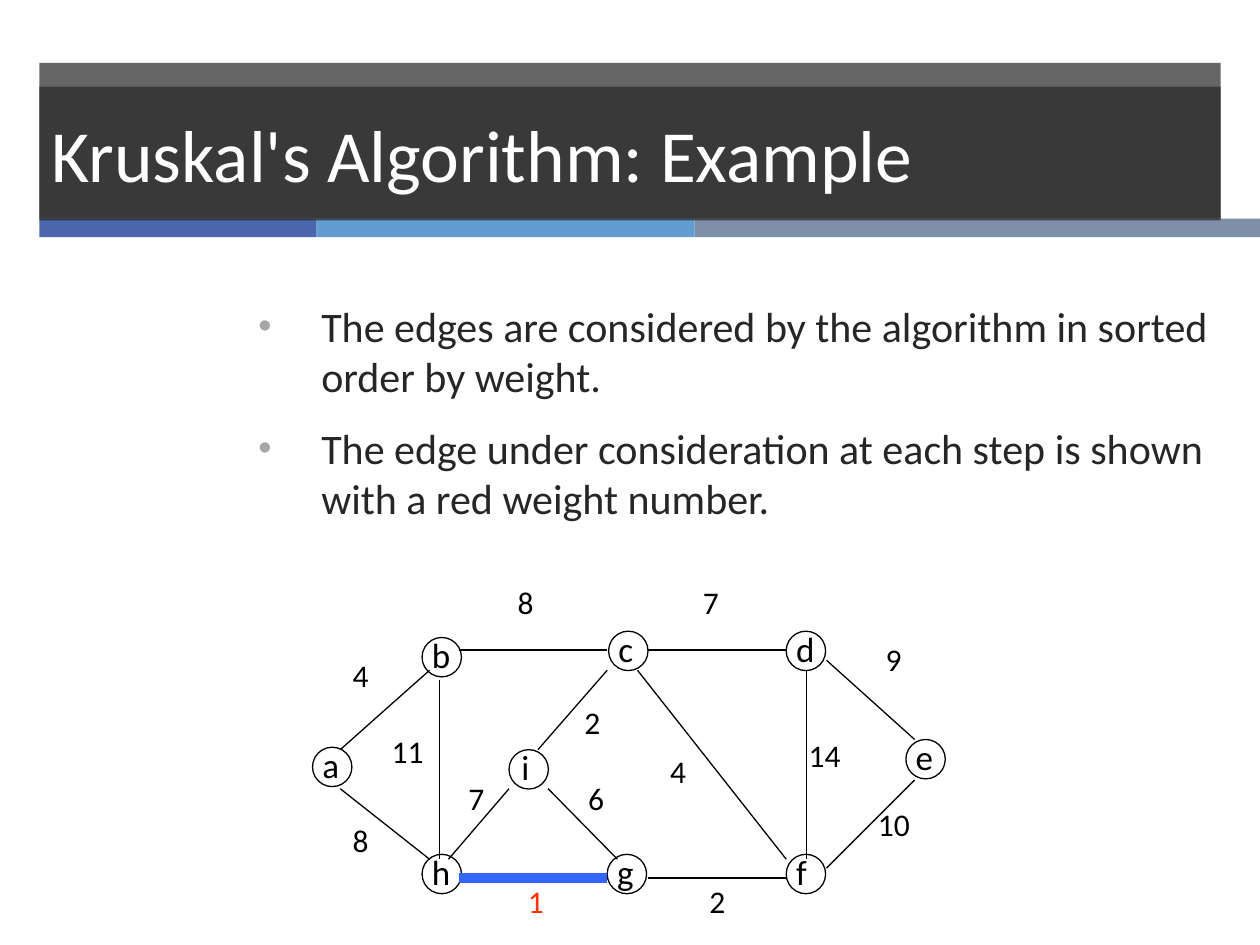
from lxml import etree
from pptx import Presentation
from pptx.dml.color import RGBColor
from pptx.enum import shapes, text
from pptx.oxml import ns
from pptx.util import Pt

HUES = {"dark": "262626", "blue": "4A66AC", "sky": "629DD1", "slate": "7F8FA9",
        "white": "FFFFFF", "black": "000000", "red": "FF3300",
        "pick": "3366FF", "dot": "A6A6A6"}
TITLE = "Kruskal's Algorithm: Example"
POINTS = [
    "The edges are considered by the algorithm in sorted order by weight.",
    "The edge under consideration at each step is shown with a red weight number.",
]
LEFT, WIDE = 22.5, 675
STRIPES = [("blue", 158.5), ("sky", 216), ("slate", 333.5)]

# name: left and top of the circle
NODES = {"a": (178.6, 427), "b": (241.2, 364.3), "h": (241.2, 488.2),
         "c": (347.8, 360.7), "d": (449.3, 360.7), "e": (517.7, 422.6),
         "f": (449.3, 488.2), "g": (347, 488.2), "i": (290.9, 428.4)}
SIZE = 22.5

# weight, start, end, left and top of the weight
EDGES = [
    (4, (194.4, 428.4), (245.5, 383), (194.4, 371.5)),
    (8, (194.4, 450.7), (245.5, 491), (194.4, 465.8)),
    (11, (251.3, 388.8), (251.3, 491), (216.7, 414.7)),
    (8, (262.1, 371.5), (347, 371.5), (288.7, 329.8)),
    (1, (262.1, 501.8), (347, 501.8), (294.5, 500.4)),
    (2, (370.1, 501.8), (449.3, 501.8), (398.2, 500.4)),
    (4, (364.3, 383), (449.3, 491), (375.8, 426.2)),
    (7, (370.1, 371.5), (449.3, 371.5), (394.6, 329.8)),
    (14, (460.8, 383), (460.8, 491), (455, 416.9)),
    (9, (472.3, 377.3), (522.7, 422.6), (499, 362.2)),
    (10, (472.3, 496.1), (522.7, 445.7), (494.6, 456.5)),
    (6, (313.2, 450.7), (352.8, 491), (329, 441.4)),
    (7, (256.3, 491), (290.9, 450.7), (260.6, 441.4)),
    (2, (307.4, 428.4), (347, 383), (326.9, 398.2)),
]
CHOSEN = 1

deck = Presentation()
deck.slide_width, deck.slide_height = Pt(720), Pt(540)
slide = deck.slides.add_slide(deck.slide_layouts[6])
draw = slide.shapes


def tint(name):
    return RGBColor.from_string(HUES[name])


def sub(node, tag, **attrs):
    return etree.SubElement(node, ns.qn(tag), attrs)


def shape(kind, *box):
    item = draw.add_shape(kind, *map(Pt, box))
    item.shadow.inherit = False
    return item


def rect(hue, *box, alpha=None):
    item = shape(shapes.MSO_SHAPE.RECTANGLE, *box)
    item.fill.solid()
    item.fill.fore_color.rgb = tint(hue)
    item.line.fill.background()
    if alpha:
        color = item.fill._xPr.find(".//" + ns.qn("a:srgbClr"))
        sub(color, "a:alpha", val=str(alpha * 1000))
    return item


def style(para, size, hue):
    para.alignment = text.PP_ALIGN.LEFT
    for key, value in {"size": Pt(size), "name": "Calibri"}.items():
        setattr(para.font, key, value)
    para.font.color.rgb = tint(hue)


def label(words, size, hue, *box):
    frame = draw.add_textbox(*map(Pt, box)).text_frame
    frame.word_wrap = True
    frame.text = words
    style(frame.paragraphs[0], size, hue)


def bullet(para):
    props = para._p.get_or_add_pPr()
    props.set("marL", str(Pt(36)))
    props.set("indent", str(-Pt(36)))
    sub(sub(props, "a:buClr"), "a:srgbClr", val=HUES["dot"])
    sub(props, "a:buSzPct", val="90000")
    sub(props, "a:buFont", typeface="Arial")
    sub(props, "a:buChar", char="•")


def join(start, end, hue, width):
    line = draw.add_connector(shapes.MSO_CONNECTOR.STRAIGHT, *map(Pt, start + end))
    line.line.color.rgb = tint(hue)
    line.line.width = Pt(width)
    sub(line._element.spPr, "a:effectLst")


# Heading
rect("dark", LEFT, 36, WIDE, 89, alpha=70)
x = LEFT
for hue, width in STRIPES:
    rect(hue, x, 125, width, 10.5)
    x += width
head = rect("dark", LEFT, 49.5, WIDE, 76.5, alpha=70).text_frame
head.vertical_anchor = text.MSO_ANCHOR.MIDDLE
head.text = TITLE
style(head.paragraphs[0], 42, "white")

# Points
body = draw.add_textbox(*map(Pt, (140.5, 168, 557, 314.5))).text_frame
body.word_wrap = True
for n, words in enumerate(POINTS):
    para = body.add_paragraph() if n else body.paragraphs[0]
    para.text = words
    if n:
        para.space_before = Pt(12)
    bullet(para)
    style(para, 24, "dark")

# Graph
for name, (x, y) in NODES.items():
    shift = 0 if name == "i" else 1.5
    label(name, 20, "black", x - shift, y - 5.8, 24, 31)
    ring = shape(shapes.MSO_SHAPE.OVAL, x, y, SIZE, SIZE)
    ring.fill.background()
    ring.line.color.rgb = tint("black")
    ring.line.width = Pt(0.75)
for weight, start, end, spot in EDGES:
    chosen = weight == CHOSEN
    join(start, end, *(("pick", 6) if chosen else ("black", 0.75)))
    label(str(weight), 18, "red" if chosen else "black",
          *spot, 38 if weight > 9 else 26.5, 36)

deck.save("out.pptx")
